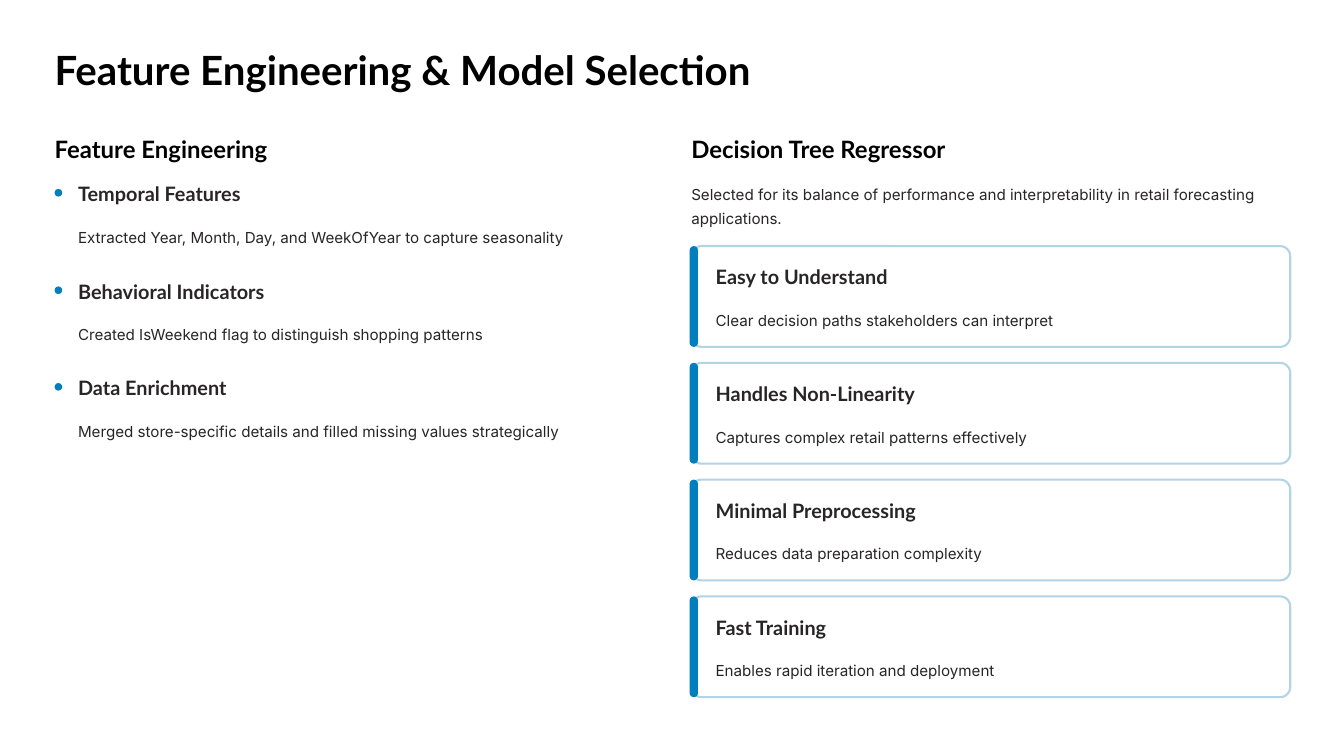
from dataclasses import dataclass
from pptx import Presentation
from pptx.dml.color import RGBColor as RGB
from pptx.enum.shapes import MSO_SHAPE as Shape
from pptx.util import Pt

PX = 9144  # EMU in one px, 100 px to the inch


@dataclass
class Theme:
    black: str = "000000"
    ink: str = "272525"
    blue: str = "007EBD"
    edge: str = "B2D4E5"
    white: str = "FFFFFF"
    head: str = "Lato"
    body: str = "Inter"
    title: float = 34.5
    section: float = 20.5
    item: float = 17
    small: float = 13


theme = Theme()
deck = Presentation()
deck.slide_width, deck.slide_height = 1600 * PX, 900 * PX
slide = deck.slides.add_slide(deck.slide_layouts[6])


def write(text, x, y, w, h=30, size=theme.small, font=theme.body,
          color=theme.ink, bold=False, lead=21, wrap=False):
    """Place one paragraph; lead is its line spacing in points."""
    box = slide.shapes.add_textbox(x * PX, y * PX, w * PX, h * PX)
    frame = box.text_frame
    frame.margin_left = frame.margin_right = 0
    frame.margin_top = frame.margin_bottom = 0
    frame.word_wrap = wrap
    para = frame.paragraphs[0]
    para.line_spacing = Pt(lead)
    run = para.add_run()
    run.text = text
    run.font.size, run.font.name, run.font.bold = Pt(size), font, bold
    run.font.color.rgb = RGB.from_string(color)


def panel(x, y, w, h, round, fill, edge=None):
    """Draw a rounded box; round is the corner's share of the short side."""
    box = slide.shapes.add_shape(
        Shape.ROUNDED_RECTANGLE, x * PX, y * PX, w * PX, h * PX)
    box.adjustments[0] = round
    box.shadow.inherit = False
    box.fill.solid()
    box.fill.fore_color.rgb = RGB.from_string(fill)
    if edge:
        box.line.color.rgb = RGB.from_string(edge)
        box.line.width = Pt(1.8)
    else:
        box.line.fill.background()


section = dict(h=36, size=theme.section, font=theme.head,
               color=theme.black, bold=True, lead=26)
item = dict(size=theme.item, font=theme.head, bold=True, lead=21.5)

write("Feature Engineering & Model Selection", 65, 51, 870, 61,
      size=theme.title, font=theme.head, color=theme.black,
      bold=True, lead=43.5)

# Left column: bulleted features
write("Feature Engineering", 65, 158, 291, **section)
features = [
    (215, "Temporal Features",
     "Extracted Year, Month, Day, and WeekOfYear to capture seasonality"),
    (331, "Behavioral Indicators",
     "Created IsWeekend flag to distinguish shopping patterns"),
    (446, "Data Enrichment",
     "Merged store-specific details and filled missing values strategically"),
]
for top, name, note in features:
    panel(65, top + 10, 9, 9, 0.5, theme.blue)
    write(name, 93, top, 243, **item)
    write(note, 93, top + 49, 685)

# Right column: cards on the model's strengths
write("Decision Tree Regressor", 823, 158, 322, **section)
write("Selected for its balance of performance and interpretability "
      "in retail forecasting applications.", 823, 213, 713, 59, wrap=True)
cards = [
    ("Easy to Understand", "Clear decision paths stakeholders can interpret"),
    ("Handles Non-Linearity", "Captures complex retail patterns effectively"),
    ("Minimal Preprocessing", "Reduces data preparation complexity"),
    ("Fast Training", "Enables rapid iteration and deployment"),
]
for i, (name, note) in enumerate(cards):
    top = 293 + 139 * i
    panel(823, top, 713, 120, 0.1, theme.white, edge=theme.edge)
    panel(821, top, 10, 120, 0.5, theme.blue)
    write(name, 852, top + 21, 260, **item)
    write(note, 852, top + 70, 663)

deck.save("out.pptx")
